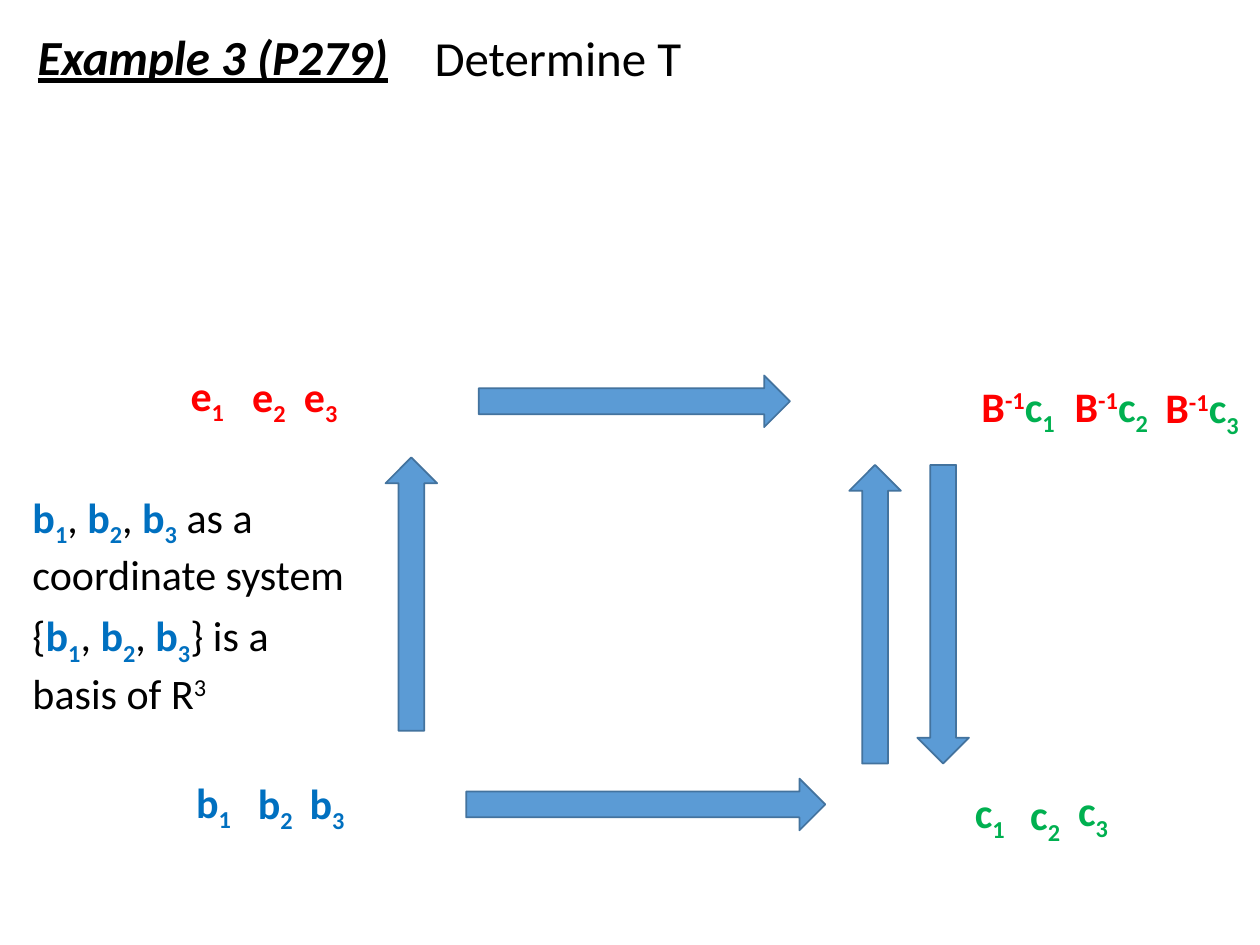
from pptx import Presentation
from pptx.dml.color import RGBColor
from pptx.enum.shapes import MSO_SHAPE
from pptx.enum.text import PP_ALIGN
from pptx.util import Inches, Pt

RIGHT_ARROW = MSO_SHAPE.RIGHT_ARROW
LEFT, CENTER = PP_ALIGN.LEFT, PP_ALIGN.CENTER
BLACK = RGBColor(0x00, 0x00, 0x00)
RED = RGBColor(0xFF, 0x00, 0x00)
GREEN = RGBColor(0x00, 0xB0, 0x50)
BLUE = RGBColor(0x00, 0x70, 0xC0)
ARROW_FILL = RGBColor(0x5B, 0x9B, 0xD5)
ARROW_LINE = RGBColor(0x43, 0x73, 0x9E)
SUBSCRIPT, SUPERSCRIPT = -25, 30

presentation = Presentation()
presentation.slide_width = Inches(10)
presentation.slide_height = Inches(7.5)
slide = presentation.slides.add_slide(presentation.slide_layouts[6])


def add_text(left, top, width, height, runs, size=24, alignment=LEFT):
    box = slide.shapes.add_textbox(Inches(left), Inches(top), Inches(width), Inches(height))
    box.text_frame.word_wrap = True
    paragraph = box.text_frame.paragraphs[0]
    paragraph.alignment = alignment
    for text, color, bold, baseline in runs:
        run = paragraph.add_run()
        run.text = text
        run.font.name = "Calibri"
        run.font.size = Pt(size)
        run.font.bold = bold
        run.font.color.rgb = color
        if baseline:
            run.font._element.set("baseline", str(baseline * 1000))
    return paragraph


def symbol(letter, index, color):
    return [(letter, color, True, 0), (str(index), color, True, SUBSCRIPT)]


title = add_text(0.2, 0.16, 3.14, 0.57, [("Example 3 (P279)", BLACK, True, 0)], size=28)
title.runs[0].font.italic = True
title.runs[0].font.underline = True
add_text(3.35, 0.17, 2.41, 0.57, [("Determine T", BLACK, False, 0)], size=28)

arrows = [
    (3.7, 6.18, 2.85, 0),
    (2.18, 4.51, 2.17, 270),
    (5.76, 4.67, 2.37, 270),
    (3.8, 2.98, 2.47, 0),
    (6.3, 4.67, 2.37, 90),
]
for left, top, length, rotation in arrows:
    arrow = slide.shapes.add_shape(
        RIGHT_ARROW, Inches(left), Inches(top), Inches(length), Inches(0.41))
    arrow.rotation = rotation
    arrow.shadow.inherit = False
    arrow.fill.solid()
    arrow.fill.fore_color.rgb = ARROW_FILL
    arrow.line.color.rgb = ARROW_LINE
    arrow.line.width = Pt(1)

vector_groups = [
    ("b", BLUE, [(1.39, 6.11), (1.88, 6.12), (2.29, 6.12)]),
    ("c", GREEN, [(7.55, 6.19), (7.99, 6.21), (8.37, 6.18)]),
    ("e", RED, [(1.34, 2.88), (1.83, 2.89), (2.24, 2.89)]),
]
for letter, color, positions in vector_groups:
    for index, (left, top) in enumerate(positions, start=1):
        add_text(left, top, 0.61, 0.5, symbol(letter, index, color), alignment=CENTER)

inverse = [("B", RED, True, 0), ("-1", RED, True, SUPERSCRIPT)]
for index, (left, top) in enumerate([(7.62, 2.97), (8.36, 2.97), (9.08, 2.98)], start=1):
    add_text(left, top, 0.92, 0.5, inverse + symbol("c", index, GREEN), alignment=CENTER)

comma = [(",", BLACK, False, 0)]
basis = (symbol("b", 1, BLUE) + comma + symbol(" b", 2, BLUE)
         + comma + symbol(" b", 3, BLUE))
add_text(0.16, 3.85, 2.76, 0.91, basis + [(" as a coordinate system", BLACK, False, 0)])
add_text(0.16, 4.79, 2.76, 0.91,
         [("{", BLACK, False, 0)] + basis
         + [("} is a basis of R", BLACK, False, 0), ("3", BLACK, False, SUPERSCRIPT)])

presentation.save("out.pptx")
